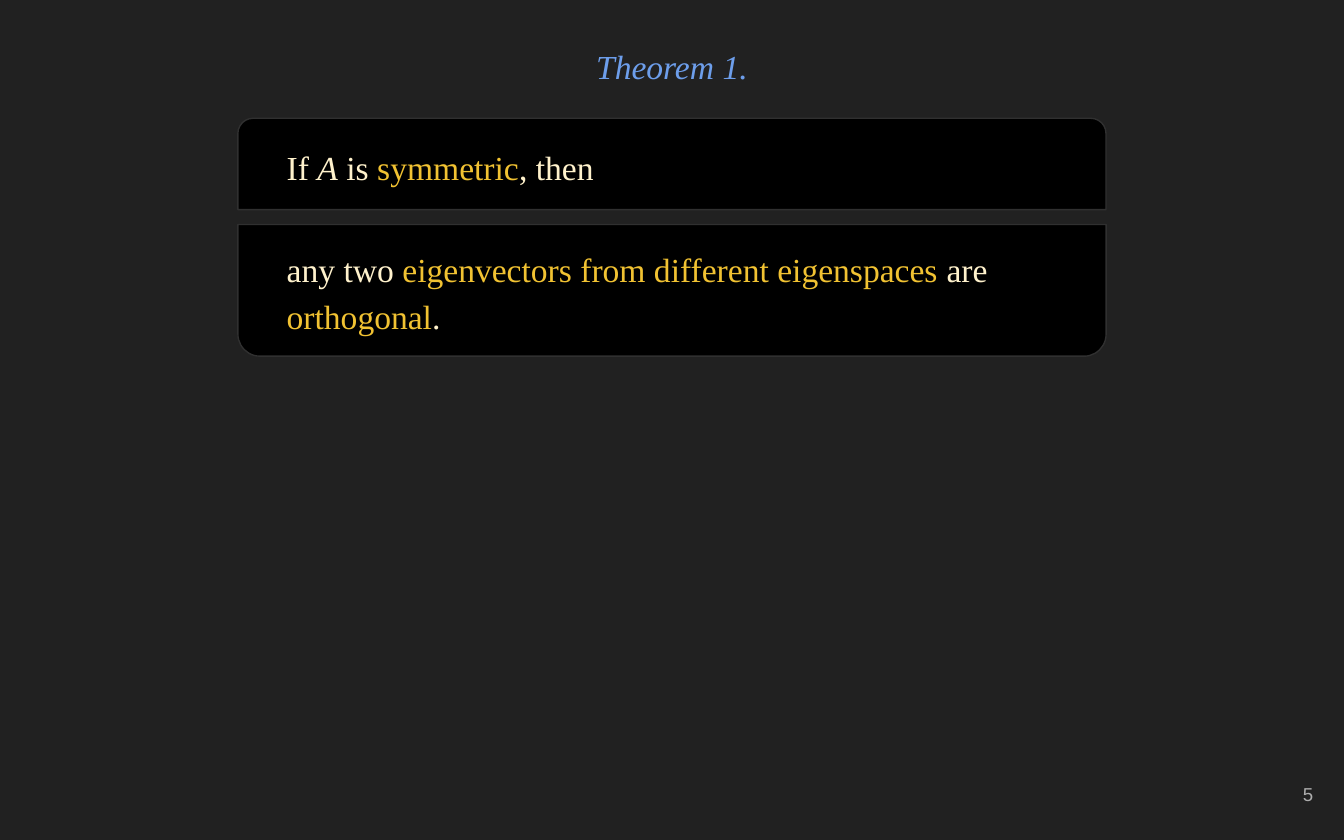
import pptx
import pptx.util
import pptx.dml.color
import pptx.enum.shapes
import pptx.enum.text

WIDTH, HEIGHT = 10, 6.25
SERIF, SANS = "Times New Roman", "Arial"
BACKGROUND, PANEL, BORDER = "212121", "000000", "303030"
BLUE, CREAM, GOLD, GRAY = "6D9EEB", "FFF2CC", "F1C232", "ADADAD"
PANEL_WIDTH, TEXT_WIDTH = 6.46, 5.93

TITLE = "Theorem 1."
PAGE = "5"
PANELS = [
    {
        "top": 0.88, "height": 0.68, "text_top": 0.95, "text_height": 0.53, "rotation": 0,
        "runs": [("If ", CREAM, False), ("A", CREAM, True), (" is ", CREAM, False),
                 ("symmetric", GOLD, False), (", then", CREAM, False)],
    },
    {
        "top": 1.67, "height": 0.98, "text_top": 1.71, "text_height": 0.83, "rotation": 180,
        "runs": [("any two ", CREAM, False),
                 ("eigenvectors from different eigenspaces", GOLD, False),
                 (" are ", CREAM, False), ("orthogonal", GOLD, False), (".", CREAM, False)],
    },
]


def color(value):
    return pptx.dml.color.RGBColor.from_string(value)


def box(left, top, width, height):
    return [pptx.util.Inches(length) for length in (left, top, width, height)]


def centered(top, width, height):
    return box((WIDTH - width) / 2, top, width, height)


def write(shape, runs, size=18, font=SERIF, align="LEFT", anchor="TOP", spacing=1, after=0):
    frame = shape.text_frame
    frame.word_wrap = True
    frame.auto_size = pptx.enum.text.MSO_AUTO_SIZE.NONE
    frame.vertical_anchor = pptx.enum.text.MSO_ANCHOR[anchor]
    frame.margin_left = frame.margin_right = pptx.util.Inches(0.1)
    frame.margin_top = frame.margin_bottom = pptx.util.Inches(0.1)
    paragraph = frame.paragraphs[0]
    paragraph.alignment = pptx.enum.text.PP_ALIGN[align]
    paragraph.line_spacing = spacing
    paragraph.space_after = pptx.util.Pt(after)
    for text, shade, italic in runs:
        run = paragraph.add_run()
        run.text = text
        run.font.name = font
        run.font.size = pptx.util.Pt(size)
        run.font.italic = italic
        run.font.color.rgb = color(shade)


def add_panel(slide, panel):
    shape = slide.shapes.add_shape(
        pptx.enum.shapes.MSO_SHAPE.ROUND_2_SAME_RECTANGLE,
        *centered(panel["top"], PANEL_WIDTH, panel["height"]))
    shape.adjustments[0] = 0.167
    shape.adjustments[1] = 0
    shape.rotation = panel["rotation"]
    shape.shadow.inherit = False
    shape.fill.solid()
    shape.fill.fore_color.rgb = color(PANEL)
    shape.line.color.rgb = color(BORDER)
    shape.line.width = pptx.util.Pt(0.75)
    statement = slide.shapes.add_textbox(
        *centered(panel["text_top"], TEXT_WIDTH, panel["text_height"]))
    write(statement, panel["runs"], spacing=1.15, after=10)


def main():
    presentation = pptx.Presentation()
    presentation.slide_width = pptx.util.Inches(WIDTH)
    presentation.slide_height = pptx.util.Inches(HEIGHT)
    slide = presentation.slides.add_slide(presentation.slide_layouts[5])
    slide.background.fill.solid()
    slide.background.fill.fore_color.rgb = color(BACKGROUND)

    title = slide.shapes.title
    title.left, title.top, title.width, title.height = centered(0.2, 9.03, 0.58)
    write(title, [(TITLE, BLUE, True)], align="CENTER", anchor="MIDDLE")

    for panel in PANELS:
        add_panel(slide, panel)

    number = slide.shapes.add_textbox(*box(9.27, 5.67, 0.6, 0.48))
    write(number, [(PAGE, GRAY, False)], size=10, font=SANS, align="RIGHT", anchor="MIDDLE")
    presentation.save("out.pptx")


if __name__ == "__main__":
    main()
